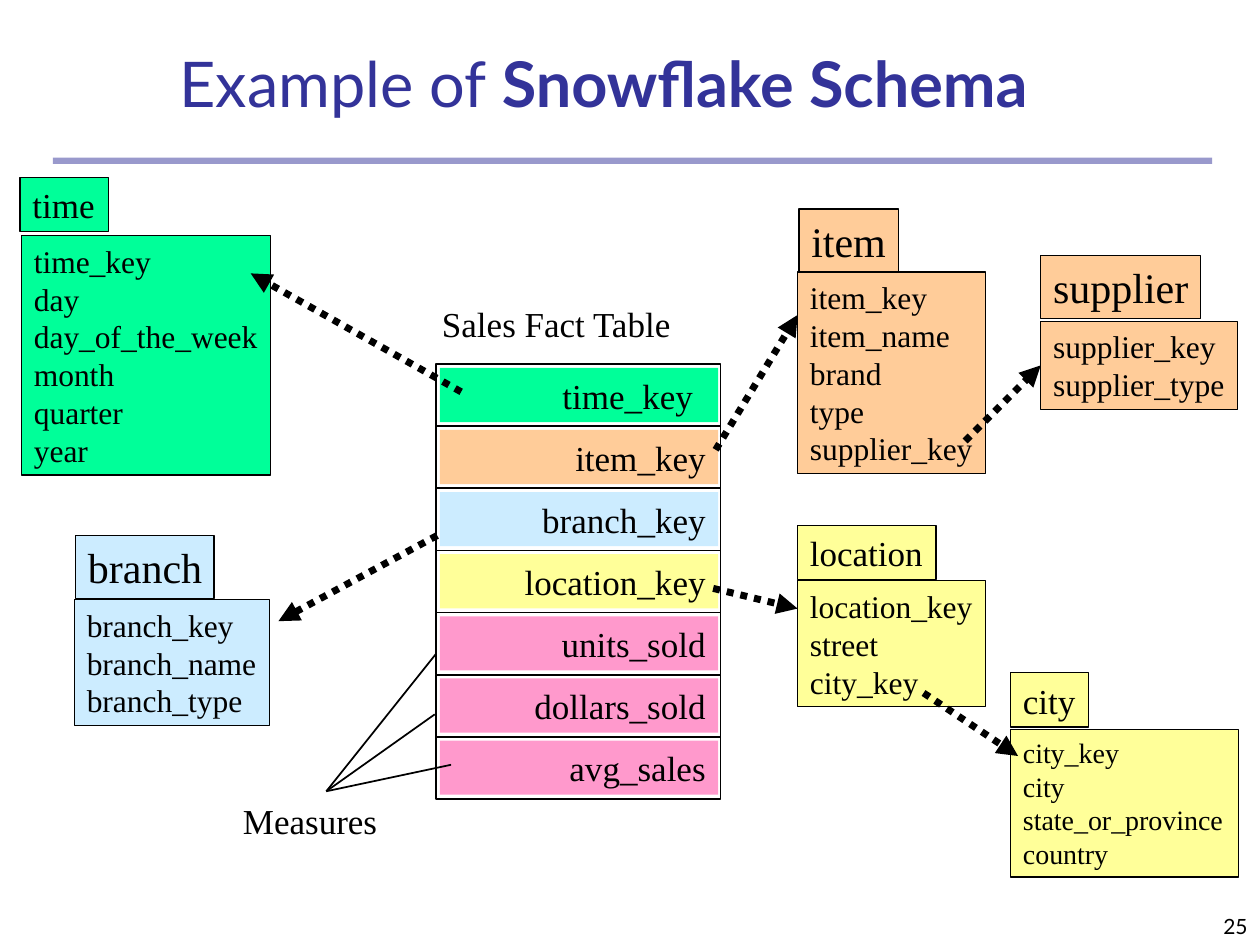
from dataclasses import dataclass

from lxml.etree import SubElement
from pptx import Presentation
from pptx.dml.color import RGBColor
from pptx.enum.dml import MSO_LINE
from pptx.enum.shapes import MSO_CONNECTOR, MSO_SHAPE
from pptx.enum.text import MSO_ANCHOR, MSO_AUTO_SIZE, PP_ALIGN
from pptx.oxml.ns import qn
from pptx.util import Inches, Pt


@dataclass(frozen=True)
class Theme:
    title_font: str = "Lato"
    body_font: str = "Times New Roman"
    title_size: int = 36
    large: int = 24
    label: int = 20
    field: int = 18
    compact: int = 16
    number: int = 12
    ink: str = "000000"
    navy: str = "333399"
    rule: str = "9999CC"
    green: str = "00FF99"
    orange: str = "FFCC99"
    blue: str = "CCECFF"
    yellow: str = "FFFF99"
    pink: str = "FF99CC"


THEME = Theme()

# name, heading (left, top, width, height, size), body (same), colour, fields
DIMENSIONS = [
    ("time", (0.16, 1.41, 0.7, 0.43, THEME.label), (0.17, 1.87, 1.98, 1.9, THEME.field), THEME.green,
     ["time_key", "day", "day_of_the_week", "month", "quarter", "year"]),
    ("location", (6.33, 4.17, 1.1, 0.43, THEME.label), (6.33, 4.61, 1.49, 1, THEME.field), THEME.yellow,
     ["location_key", "street", "city_key"]),
    ("item", (6.34, 1.66, 0.79, 0.5, THEME.large), (6.33, 2.16, 1.49, 1.6, THEME.field), THEME.orange,
     ["item_key", "item_name", "brand", "type", "supplier_key"]),
    ("branch", (0.6, 4.25, 1.1, 0.5, THEME.large), (0.59, 4.76, 1.55, 1, THEME.field), THEME.blue,
     ["branch_key", "branch_name", "branch_type"]),
    ("supplier", (8.26, 2.03, 1.27, 0.5, THEME.large), (8.26, 2.55, 1.56, 0.7, THEME.field), THEME.orange,
     ["supplier_key", "supplier_type"]),
    ("city", (8.02, 5.34, 0.62, 0.43, THEME.label), (8.02, 5.79, 1.81, 1.17, THEME.compact), THEME.yellow,
     ["city_key", "city", "state_or_province", "country"]),
]

# field, colour, right margin
FACT_FIELDS = [
    ("time_key", THEME.green, 0.2),
    ("item_key", THEME.orange, 0.1),
    ("branch_key", THEME.blue, 0.1),
    ("location_key", THEME.yellow, 0.1),
    ("units_sold", THEME.pink, 0.1),
    ("dollars_sold", THEME.pink, 0.1),
    ("avg_sales", THEME.pink, 0.1),
]

KEY_ARROWS = [
    ((3.47, 4.25), (2.21, 4.93)),
    ((3.66, 3.11), (1.99, 2.17)),
    ((5.66, 4.67), (6.33, 4.83)),
    ((5.68, 3.57), (6.33, 2.5)),
    ((7.33, 5.5), (8.08, 6)),
]
MEASURES_POINT = (2.59, 6.28)
MEASURE_ENDS = [(3.46, 5.19), (3.45, 5.67), (3.58, 6.07)]


def color(value):
    return RGBColor.from_string(value)


def write(box, lines, size, align=PP_ALIGN.LEFT, wrap=False, font=THEME.body_font):
    frame = box.text_frame
    frame.text = "\n".join(lines)
    frame.word_wrap = wrap
    frame.vertical_anchor = MSO_ANCHOR.TOP
    for para in frame.paragraphs:
        para.alignment = align
        para.font.name = font
        para.font.size = Pt(size)
        para.font.color.rgb = color(THEME.ink)
    return frame


def add_label(slide, text, bounds, size, **style):
    box = slide.shapes.add_textbox(*map(Inches, bounds))
    return write(box, [text], size, **style)


def add_box(slide, bounds, fill=None, line_width=None):
    box = slide.shapes.add_shape(MSO_SHAPE.RECTANGLE, *map(Inches, bounds))
    box.shadow.inherit = False
    if fill:
        box.fill.solid()
        box.fill.fore_color.rgb = color(fill)
    else:
        box.fill.background()
    if line_width:
        box.line.color.rgb = color(THEME.ink)
        box.line.width = Pt(line_width)
    else:
        box.line.fill.background()
    return box


def add_line(slide, start, end, width=1):
    line = slide.shapes.add_connector(MSO_CONNECTOR.STRAIGHT, *map(Inches, (*start, *end)))
    line.line.color.rgb = color(THEME.ink)
    line.line.width = Pt(width)
    SubElement(line._element.spPr, qn("a:effectLst"))
    return line


def add_key_arrow(slide, start, end):
    arrow = add_line(slide, start, end, width=4)
    arrow.line.dash_style = MSO_LINE.ROUND_DOT
    SubElement(arrow.line._get_or_add_ln(), qn("a:tailEnd"), type="triangle")
    return arrow


def add_title(slide):
    title = slide.shapes.title
    title.left, title.top, title.width, title.height = map(Inches, (0.54, 0.45, 8.5, 0.55))
    frame = title.text_frame
    frame.auto_size = MSO_AUTO_SIZE.NONE
    frame.vertical_anchor = MSO_ANCHOR.BOTTOM
    para = frame.paragraphs[0]
    para.alignment = PP_ALIGN.CENTER
    para.font.name = THEME.title_font
    para.font.size = Pt(THEME.title_size)
    para.font.color.rgb = color(THEME.navy)
    para.add_run().text = "Example of "
    span = para.add_run()
    span.text = "Snowflake Schema"
    span.font.bold = True


def add_dimension(slide, name, heading, body, fill, fields):
    body_box = add_box(slide, body[:4], fill, 0.75)
    write(body_box, fields, body[4])
    write(add_box(slide, heading[:4], fill, 0.75), [name], heading[4])
    return body_box


def add_fact_table(slide):
    left, top, width, pitch = 3.46, 2.89, 2.26, 0.493
    for index, (field, fill, margin) in enumerate(FACT_FIELDS):
        row_top = top + index * pitch
        add_box(slide, (left, row_top, width, pitch), line_width=1)
        cell = add_box(slide, (left + 0.03, row_top + 0.03, width - 0.05, 0.43), fill)
        frame = write(cell, [field], THEME.label, PP_ALIGN.RIGHT, wrap=True)
        frame.margin_right = Inches(margin)


def main():
    deck = Presentation()
    deck.slide_width, deck.slide_height = Inches(10), Inches(7.5)
    slide = deck.slides.add_slide(deck.slide_layouts[5])

    # Title, rule and page number
    add_box(slide, (0.42, 1.25, 9.2, 0.05), THEME.rule)
    add_title(slide)
    number = add_label(slide, "25", (7.92, 7, 2.08, 0.5), THEME.number,
                       align=PP_ALIGN.RIGHT, wrap=True, font=THEME.title_font)
    number.vertical_anchor = MSO_ANCHOR.BOTTOM

    # Fact table and dimension tables
    add_label(slide, "Sales Fact Table", (3.41, 2.35, 2.04, 0.43), THEME.label)
    add_fact_table(slide)
    tables = {row[0]: add_dimension(slide, *row) for row in DIMENSIONS}

    # Arrows from each key to its table
    for start, end in KEY_ARROWS:
        add_key_arrow(slide, start, end)
    supplier_arrow = add_key_arrow(slide, (7.66, 3.5), (8.26, 2.9))
    supplier_arrow.end_connect(tables["supplier"], 1)

    # Measures
    add_label(slide, "Measures", (1.83, 6.3, 1.33, 0.43), THEME.label, wrap=True)
    for end in MEASURE_ENDS:
        add_line(slide, MEASURES_POINT, end)

    deck.save("out.pptx")


if __name__ == "__main__":
    main()
